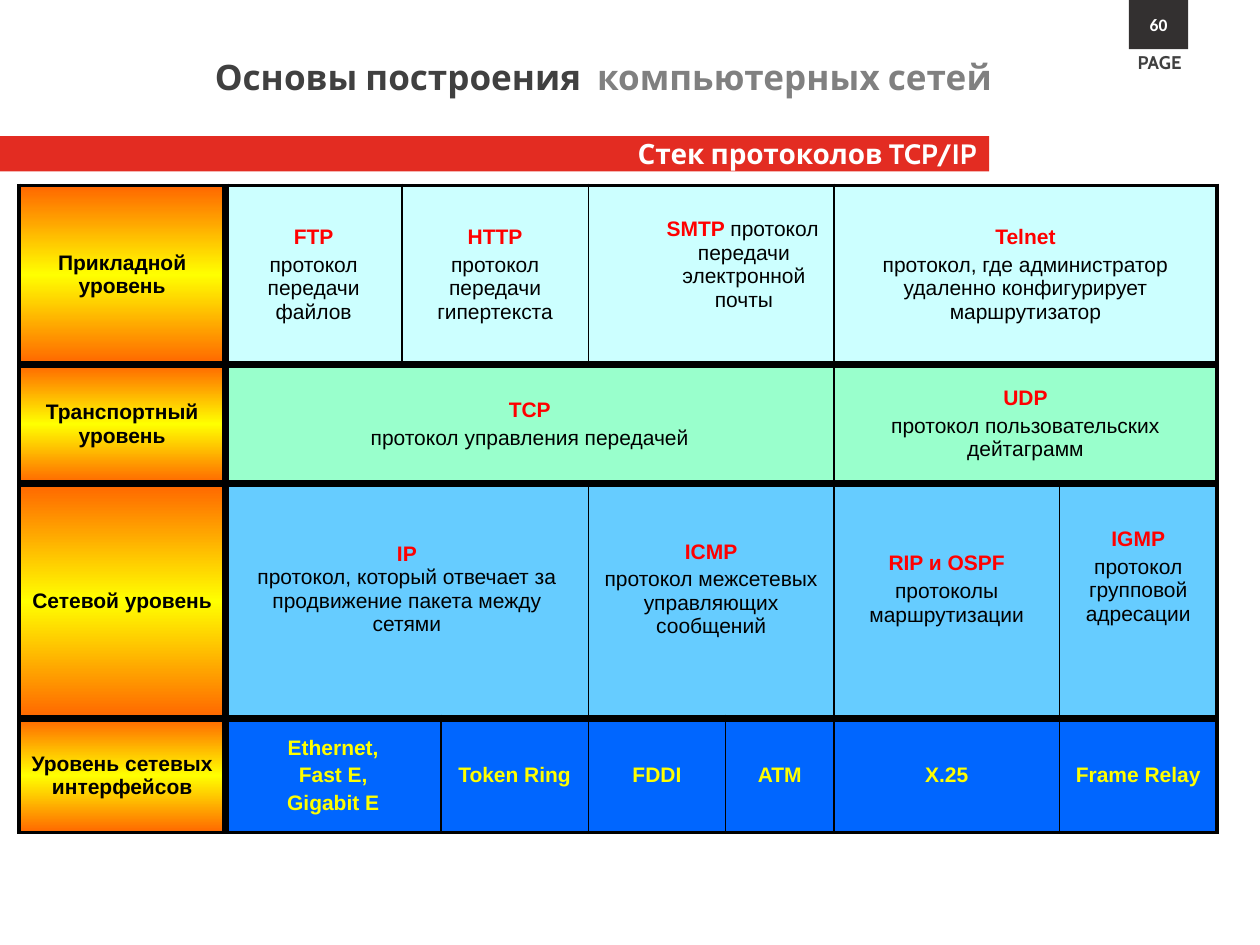
from itertools import accumulate

from lxml import etree
from pptx import Presentation
from pptx.dml.color import RGBColor
from pptx.enum.shapes import MSO_SHAPE
from pptx.enum.text import MSO_ANCHOR, PP_ALIGN
from pptx.oxml.ns import qn
from pptx.util import Inches, Pt

CENTER, RIGHT, LEFT = PP_ALIGN.CENTER, PP_ALIGN.RIGHT, PP_ALIGN.LEFT
MIDDLE, TOP = MSO_ANCHOR.MIDDLE, MSO_ANCHOR.TOP
RECTANGLE = MSO_SHAPE.RECTANGLE

SLIDE_WIDTH, SLIDE_HEIGHT = Inches(10), Inches(7.5)
COLUMN_SHARES = [16.4, 14, 3.1, 11.7, 10.9, 8.6, 17.9, 12.5]
ROW_SHARES = [18.93, 12.67, 24.8, 12.13]
THIN, EDGE, THICK = 1, 2.25, 4.5
BLACK, WHITE, DARK, GRAY = "000000", "FFFFFF", "404040", "808080"
RED, YELLOW, ORANGE = "FF0000", "FFFF00", "FF6600"

LEVELS = [
    ("Прикладной уровень", "CCFFFF", [
        (1, "FTP", "протокол передачи файлов"),
        (2, "HTTP", "протокол передачи гипертекста"),
        (2, "SMTP ", "протокол передачи электронной почты"),
        (2, "Telnet", "протокол, где администратор удаленно конфигурирует маршрутизатор"),
    ]),
    ("Транспортный уровень", "99FFCC", [
        (5, "TCP", "протокол управления передачей"),
        (2, "UDP", "протокол пользовательских дейтаграмм"),
    ]),
    ("Сетевой уровень", "66CCFF", [
        (3, "IP", "протокол, который отвечает за продвижение пакета между сетями"),
        (2, "ICMP", "протокол межсетевых управляющих сообщений"),
        (1, "RIP и OSPF", "протоколы маршрутизации"),
        (1, "IGMP", "протокол групповой адресации"),
    ]),
    ("Уровень сетевых интерфейсов", "0066FF", [
        (2, "Ethernet,", "Fast Е,", "Gigabit Е"),
        (1, "Token Ring"),
        (1, "FDDI"),
        (1, "ATM"),
        (1, "X.25"),
        (1, "Frame Relay"),
    ]),
]
BOTTOM_MARGINS = {"SMTP ": 0.21, "IP": 0.24, "ICMP": 0.24, "RIP и OSPF": 0.24, "IGMP": 0.44}


def color(value):
    """Turn a hex string into a colour."""
    return RGBColor.from_string(value)


def place(left, top, width, height):
    """Turn percentages of the slide into lengths."""
    return (int(SLIDE_WIDTH * left / 100), int(SLIDE_HEIGHT * top / 100),
            int(SLIDE_WIDTH * width / 100), int(SLIDE_HEIGHT * height / 100))


def add_span(para, text, size, font, shade, bold=True):
    """Add one formatted run to a paragraph."""
    span = para.add_run()
    span.text = text
    span.font.size, span.font.name, span.font.bold = Pt(size), font, bold
    span.font.color.rgb = color(shade)


def add_label(page, area, spans, size, font, align, anchor=TOP, fill=None, wrap=True):
    """Add a one-line label, on a filled rectangle when a fill is given."""
    if fill:
        box = page.shapes.add_shape(RECTANGLE, *place(*area))
        box.shadow.inherit = False
        box.fill.solid()
        box.fill.fore_color.rgb = color(fill)
        box.line.fill.background()
    else:
        box = page.shapes.add_textbox(*place(*area))
    frame = box.text_frame
    frame.word_wrap, frame.vertical_anchor = wrap, anchor
    para = frame.paragraphs[0]
    para.alignment = align
    for text, shade in spans:
        add_span(para, text, size, font, shade)


def set_borders(cell, left, right, top, bottom):
    """Draw black borders of the given widths around a cell."""
    properties = cell._tc.get_or_add_tcPr()
    for index, (side, width) in enumerate(zip("LRTB", (left, right, top, bottom))):
        line = etree.Element(qn(f"a:ln{side}"), w=str(Pt(width)))
        solid = etree.SubElement(line, qn("a:solidFill"))
        etree.SubElement(solid, qn("a:srgbClr"), val=BLACK)
        properties.insert(index, line)


def fill_gradient(cell):
    """Fill a cell with a vertical orange, yellow, orange gradient."""
    gradient = etree.SubElement(cell._tc.get_or_add_tcPr(), qn("a:gradFill"))
    stops = etree.SubElement(gradient, qn("a:gsLst"))
    for position, shade in ((0, ORANGE), (50, YELLOW), (100, ORANGE)):
        stop = etree.SubElement(stops, qn("a:gs"), pos=str(position * 1000))
        etree.SubElement(stop, qn("a:srgbClr"), val=shade)
    etree.SubElement(gradient, qn("a:lin"), ang="5400000", scaled="1")


def write_cell(cell, paragraphs):
    """Write centred paragraphs, each a list of (text, colour, bold)."""
    cell.vertical_anchor = MIDDLE
    frame = cell.text_frame
    for index, spans in enumerate(paragraphs):
        para = frame.add_paragraph() if index else frame.paragraphs[0]
        para.alignment = CENTER
        para.space_before = Pt(2.4 if index and spans[0][0][:14] != "протокол, кото" else 0)
        for text, shade, bold in spans:
            add_span(para, text, 12, "Arial", shade, bold)


def protocol_paragraphs(texts, is_last_level):
    """Arrange a protocol's name and description as paragraphs."""
    if is_last_level:
        return [[(text, YELLOW, True)] for text in texts]
    name, description = (texts[0], RED, True), (texts[1], BLACK, False)
    return [[name, description]] if texts[0].endswith(" ") else [[name], [description]]


def add_protocol(table, row, first, last, fill, texts):
    """Fill one protocol cell that covers columns first to last."""
    cell = table.cell(row, first)
    if last > first:
        cell.merge(table.cell(row, last))
    last_row = len(LEVELS) - 1
    for column in range(first, last + 1):
        part = table.cell(row, column)
        part.fill.solid()
        part.fill.fore_color.rgb = color(fill)
        set_borders(part, THICK if first == 1 else THIN,
                    EDGE if last == len(COLUMN_SHARES) - 1 else THIN,
                    THICK if row else EDGE, EDGE if row == last_row else THICK)
    write_cell(cell, protocol_paragraphs(texts, row == last_row))
    cell.margin_bottom = Inches(BOTTOM_MARGINS.get(texts[0], 0.05))
    if texts[0].endswith(" "):
        properties = cell.text_frame.paragraphs[0]._p.get_or_add_pPr()
        properties.set("marL", str(Inches(0.52)))
        properties.set("indent", str(Inches(-0.02)))


def add_stack(page):
    """Add the table of levels and their protocols."""
    area = place(1.5, 19.6, sum(COLUMN_SHARES), sum(ROW_SHARES))
    table = page.shapes.add_table(len(ROW_SHARES), len(COLUMN_SHARES), *area).table
    table.first_row = table.horz_banding = False
    for column, share in zip(table.columns, COLUMN_SHARES):
        column.width = int(SLIDE_WIDTH * share / 100)
    for row, share in zip(table.rows, ROW_SHARES):
        row.height = int(SLIDE_HEIGHT * share / 100)
    for row, (level, fill, protocols) in enumerate(LEVELS):
        header = table.cell(row, 0)
        write_cell(header, [[(level, BLACK, True)]])
        fill_gradient(header)
        set_borders(header, EDGE, THICK, THICK if row else EDGE,
                    EDGE if row == len(LEVELS) - 1 else THICK)
        ends = accumulate(protocol[0] for protocol in protocols)
        for (width, *texts), last in zip(protocols, ends):
            add_protocol(table, row, last - width + 1, last, fill, texts)


def main():
    """Build the slide and save it."""
    deck = Presentation()
    deck.slide_width, deck.slide_height = SLIDE_WIDTH, SLIDE_HEIGHT
    page = deck.slides.add_slide(deck.slide_layouts[6])
    add_label(page, (0, 14.4, 78.5, 3.73), [("Стек протоколов TCP/IP", WHITE)],
              16, "Cabin", RIGHT, MIDDLE, "E32C22")
    add_label(page, (89.3, 4.8, 5.9, 3.73), [("PAGE", DARK)], 10.5, "Cabin", LEFT, wrap=False)
    add_label(page, (89.6, 0, 4.7, 5.2), [("60", WHITE)], 10, "Calibri", CENTER, MIDDLE, "333030")
    add_label(page, (1.5, 5.2, 78.2, 5.87),
              [("Основы построения  ", DARK), ("компьютерных сетей", GRAY)], 20, "Cabin", RIGHT)
    add_stack(page)
    deck.save("out.pptx")


if __name__ == "__main__":
    main()
